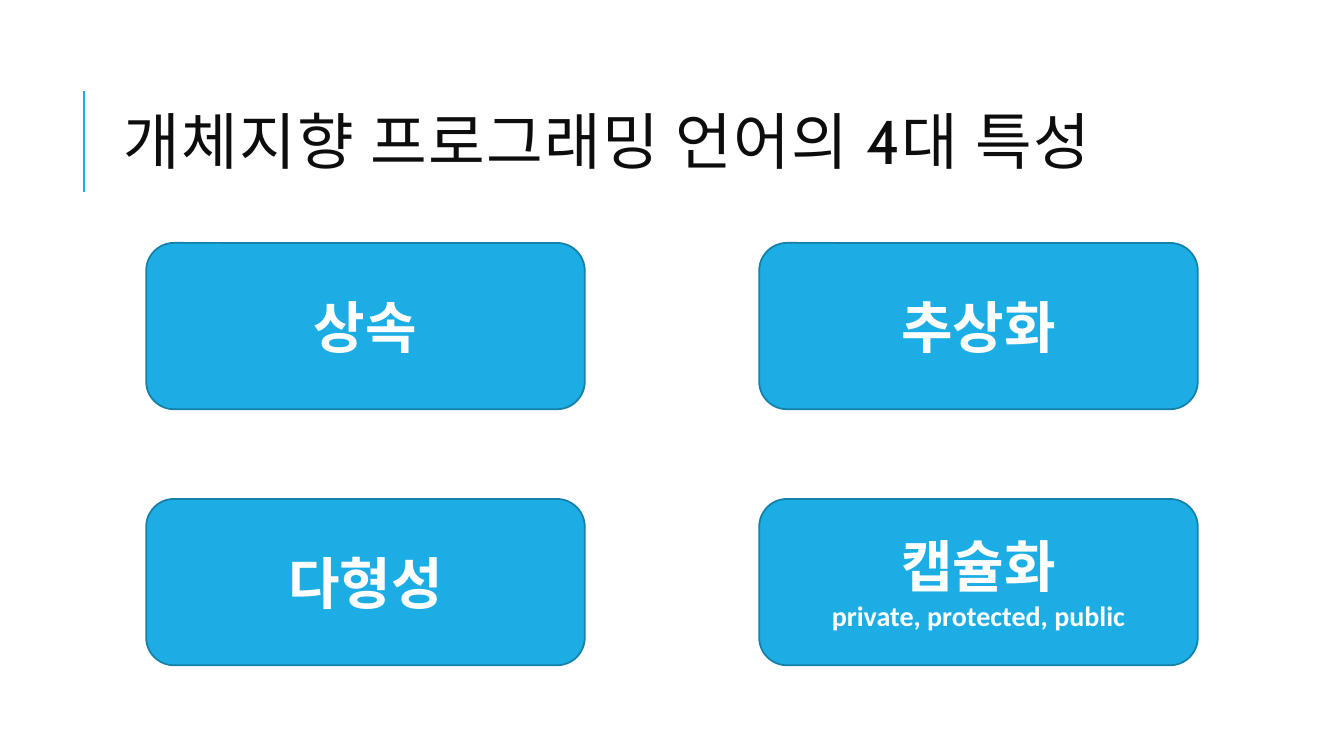
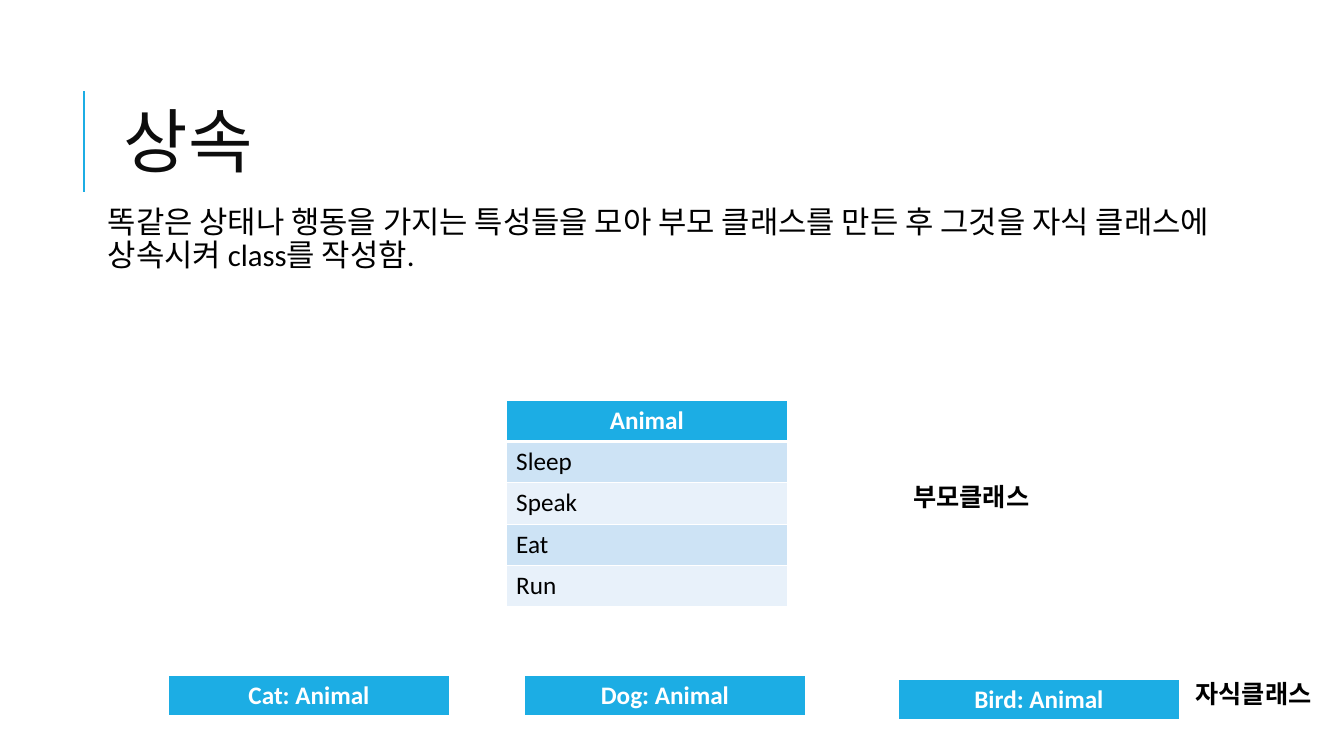
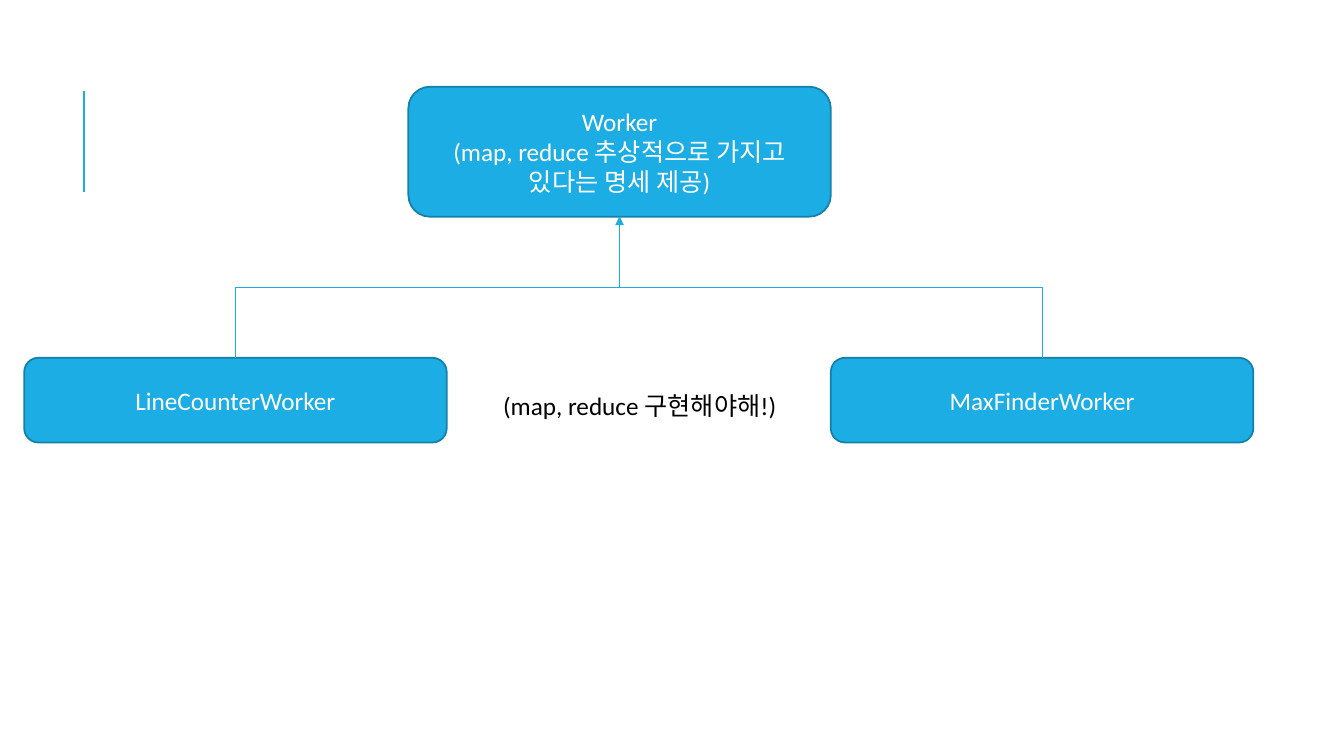
"""Build three slides on the four traits of object-oriented languages."""
from lxml.etree import SubElement
from pptx import Presentation
from pptx.dml.color import RGBColor
from pptx.enum.shapes import MSO_CONNECTOR as Connector, MSO_SHAPE as Preset
from pptx.enum.text import MSO_ANCHOR as Anchor, MSO_AUTO_SIZE as AutoSize, PP_ALIGN as Align
from pptx.oxml.ns import qn
from pptx.util import Pt

PX = 9144
COLORS = {name: RGBColor.from_string(value) for name, value in {
    "accent": "1CADE4", "edge": "1580A9", "title": "0D0D0D", "text": "000000",
    "white": "FFFFFF", "band_dark": "CDE3F5", "band_light": "E8F1FA"}.items()}
BODY_FONT, TITLE_FONT = "Calibri", "Cabin"
TABLE_WIDTH, ROW_HEIGHT = 279, 41


def add_block(page, left, top, width, height, lines, bold=False):
    block = page.shapes.add_shape(
        Preset.ROUNDED_RECTANGLE, left * PX, top * PX, width * PX, height * PX)
    block.shadow.inherit = False
    block.fill.solid()
    block.fill.fore_color.rgb = COLORS["accent"]
    block.line.color.rgb = COLORS["edge"]
    block.line.width = Pt(1.25)
    frame = block.text_frame
    frame.vertical_anchor = Anchor.MIDDLE
    frame.text = "\n".join(text for text, size in lines)
    for para, (text, size) in zip(frame.paragraphs, lines):
        para.alignment = Align.CENTER
        para.font.name, para.font.size, para.font.bold = BODY_FONT, Pt(size), bold
        para.font.color.rgb = COLORS["white"]
    return block


def add_class_table(page, left, top, names):
    table = page.shapes.add_table(
        len(names), 1, left * PX, top * PX, TABLE_WIDTH * PX, len(names) * ROW_HEIGHT * PX).table
    for row, name in enumerate(names):
        header = row == 0
        cell = table.cell(row, 0)
        properties = cell._tc.get_or_add_tcPr()
        for side in ("L", "R", "T", "B"):
            thick = header and side == "B" or row == 1 and side == "T"
            border = SubElement(properties, qn(f"a:ln{side}"), w=str(Pt(3 if thick else 1)))
            fill = SubElement(border, qn("a:solidFill"))
            SubElement(fill, qn("a:srgbClr"), val=str(COLORS["white"]))
        cell.fill.solid()
        band = "accent" if header else "band_dark" if row % 2 else "band_light"
        cell.fill.fore_color.rgb = COLORS[band]
        cell.text = name
        para = cell.text_frame.paragraphs[0]
        para.alignment = Align.CENTER if header else Align.LEFT
        para.font.name, para.font.size, para.font.bold = BODY_FONT, Pt(18), header
        para.font.color.rgb = COLORS["white" if header else "text"]


deck = Presentation()
deck.slide_width, deck.slide_height = 1333 * PX, 750 * PX
traits_page, inherit_page, worker_page = [
    deck.slides.add_slide(deck.slide_layouts[index]) for index in (5, 1, 6)]

master = deck.slide_master
master_title = master.placeholders[0]
master_title.left, master_title.top = 112 * PX, 64 * PX
master_title.width, master_title.height = 1063 * PX, 164 * PX
master_title.text_frame.auto_size = AutoSize.NONE
master_title.text_frame.vertical_anchor = Anchor.MIDDLE
title_style = master.element.find(".//" + qn("p:titleStyle")).find(qn("a:lvl1pPr"))
title_style.set("algn", "l")
title_style.find(qn("a:defRPr")).set("spc", "100")

rule = traits_page.shapes.add_connector(Connector.STRAIGHT, 83 * PX, 190 * PX, 83 * PX, 90 * PX)
rule.line.color.rgb = COLORS["accent"]
rule.line.width = Pt(1.5)
SubElement(rule._element.spPr, qn("a:effectLst"))
master.element.cSld.spTree.append(rule._element)

for page, heading, size in (
        (traits_page, "개체지향 프로그래밍 언어의 4대 특성", 44),
        (inherit_page, "상속", 50)):
    page.shapes.title.text = heading
    para = page.shapes.title.text_frame.paragraphs[0]
    para.line_spacing = 0.8
    para.font.name, para.font.size = TITLE_FONT, Pt(size)
    para.font.color.rgb = COLORS["title"]

traits = [
    [("상속", 40)], [("추상화", 40)], [("다형성", 40)],
    [("캡슐화", 40), ("private, protected, public", 20)]]
for index, lines in enumerate(traits):
    row, column = divmod(index, 2)
    add_block(traits_page, 145 + column * 608, 241 + row * 254, 435, 165, lines, bold=True)

for left, top, names in (
        (167, 670, ["Cat: Animal"]),
        (520, 670, ["Dog: Animal"]),
        (891, 674, ["Bird: Animal"]),
        (502, 397, ["Animal", "Sleep", "Speak", "Eat", "Run"])):
    add_class_table(inherit_page, left, top, names)

body = inherit_page.placeholders[1]
body.left, body.top, body.width, body.height = 92 * PX, 200 * PX, 1150 * PX, 187 * PX
frame = body.text_frame
frame.auto_size = AutoSize.NONE
frame.margin_left = frame.margin_right = frame.margin_top = frame.margin_bottom = 5 * PX
frame.text = ("똑같은 상태나 행동을 가지는 특성들을 모아 부모 클래스를 만든 후 "
              "그것을 자식 클래스에 상속시켜 class를 작성함.")
para = frame.paragraphs[0]
para.line_spacing, para.space_before, para.space_after = 0.9, Pt(12), Pt(2)
para.font.name, para.font.size = BODY_FONT, Pt(22)
para.font.color.rgb = COLORS["text"]
settings = para._p.get_or_add_pPr()
settings.set("marL", str(10 * PX))
settings.set("indent", "0")
bullet = SubElement(settings, qn("a:buNone"))
settings.find(qn("a:defRPr")).addprevious(bullet)

for page, left, top, width, text, bold, align in (
        (inherit_page, 896, 473, 225, "부모클래스", True, Align.LEFT),
        (inherit_page, 1176, 668, 157, "자식클래스", True, Align.LEFT),
        (worker_page, 486, 382, 297, "(map, reduce 구현해야해!)", False, Align.CENTER)):
    label = page.shapes.add_textbox(left * PX, top * PX, width * PX, 40 * PX)
    label.text_frame.word_wrap = True
    label.text_frame.text = text
    para = label.text_frame.paragraphs[0]
    para.alignment = align
    para.font.name, para.font.size, para.font.bold = BODY_FONT, Pt(18), bold
    para.font.color.rgb = COLORS["text"]

worker = add_block(worker_page, 405, 86, 419, 129, [
    ("Worker", 18), ("(map, reduce 추상적으로 가지고 있다는 명세 제공)", 18)])
for left, name in ((24, "LineCounterWorker"), (824, "MaxFinderWorker")):
    child = add_block(worker_page, left, 355, 419, 84, [(name, 18)])
    arrow = worker_page.shapes.add_connector(Connector.ELBOW, 0, 0, 0, 0)
    arrow.begin_connect(child, 0)
    arrow.end_connect(worker, 0)
    arrow._element.nvCxnSpPr.cNvCxnSpPr.endCxn.set("idx", "2")
    start_x, end_x = (box.left + box.width // 2 for box in (child, worker))
    start_y, end_y = child.top, worker.top + worker.height
    across, rise = abs(end_x - start_x), start_y - end_y
    arrow.left, arrow.top = (start_x + end_x - rise) // 2, (start_y + end_y - across) // 2
    arrow.width, arrow.height = rise, across
    transform = arrow._element.spPr.find(qn("a:xfrm"))
    transform.set("rot", str(270 * 60000))
    transform.set("flipH", "0")
    transform.set("flipV", "1" if start_x > end_x else "0")
    arrow.line.color.rgb = COLORS["accent"]
    arrow.line.width = Pt(0.75)
    SubElement(arrow.line._get_or_add_ln(), qn("a:tailEnd"), type="triangle")
    SubElement(arrow._element.spPr, qn("a:effectLst"))

deck.save("out.pptx")
